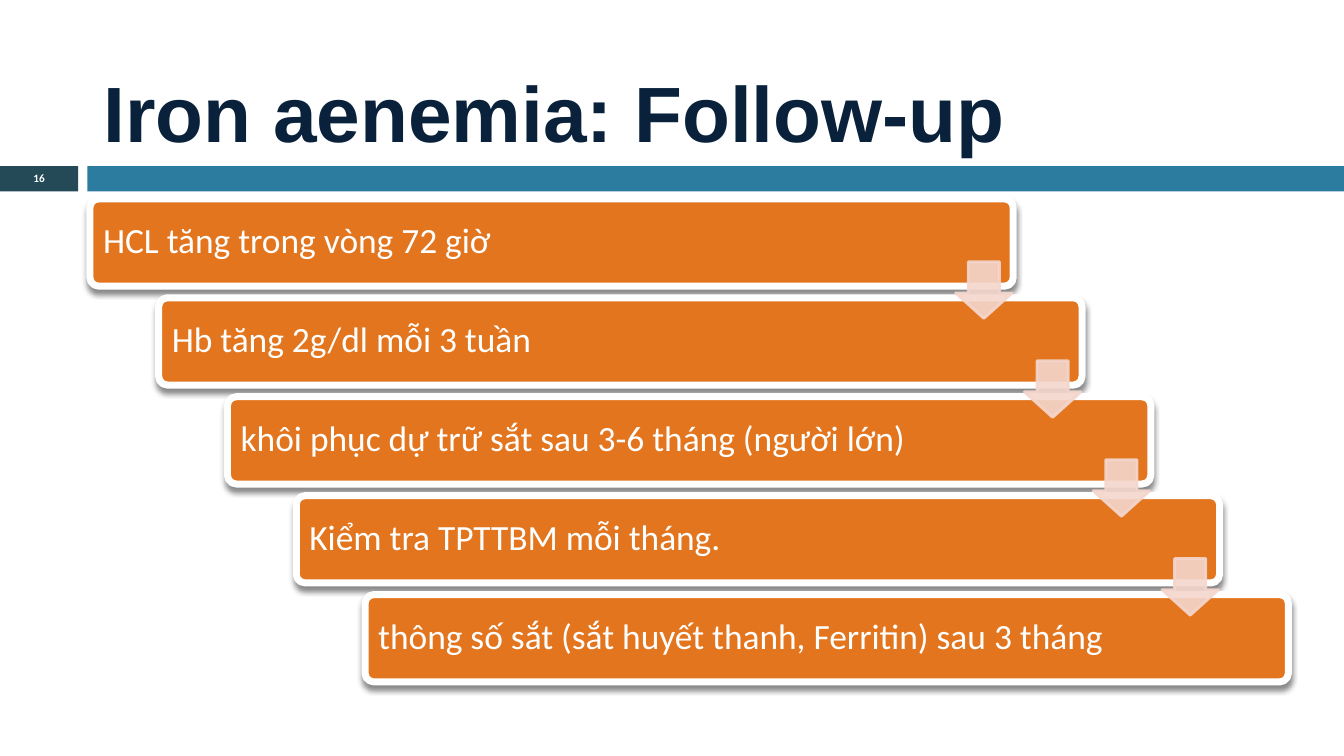
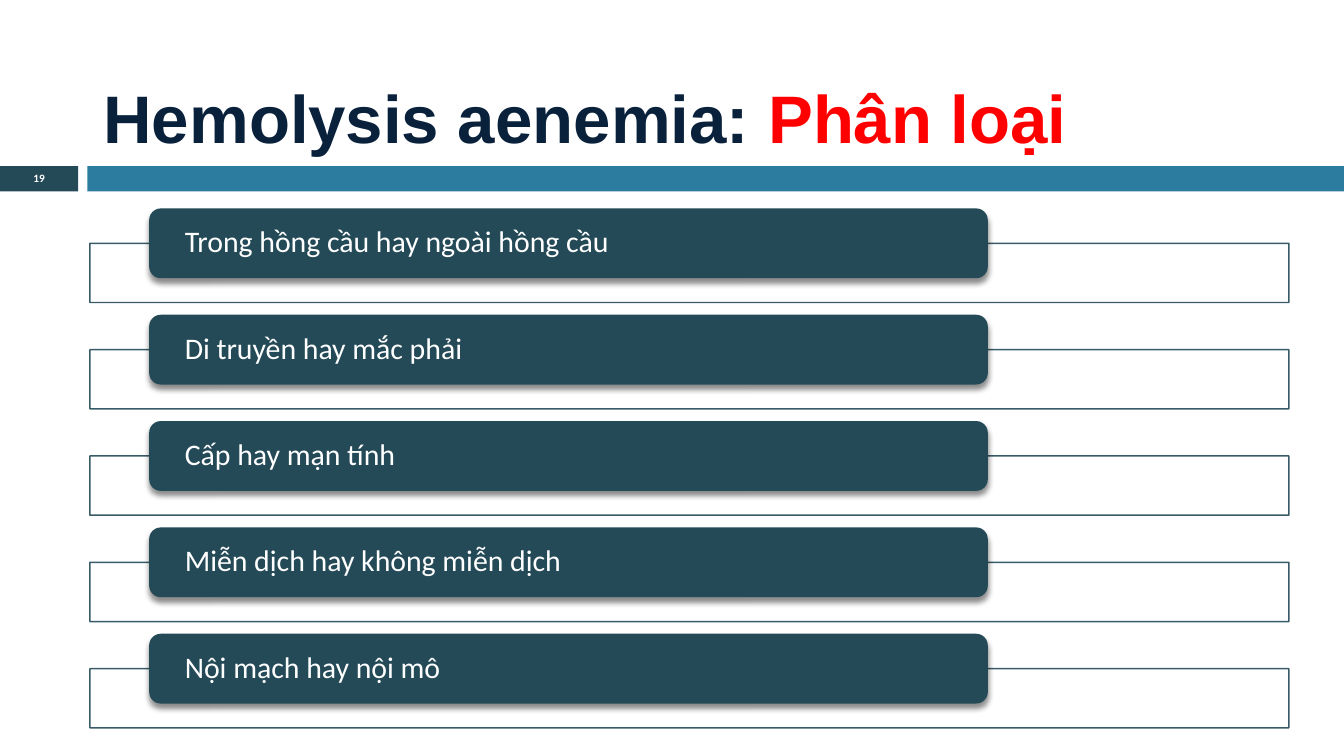
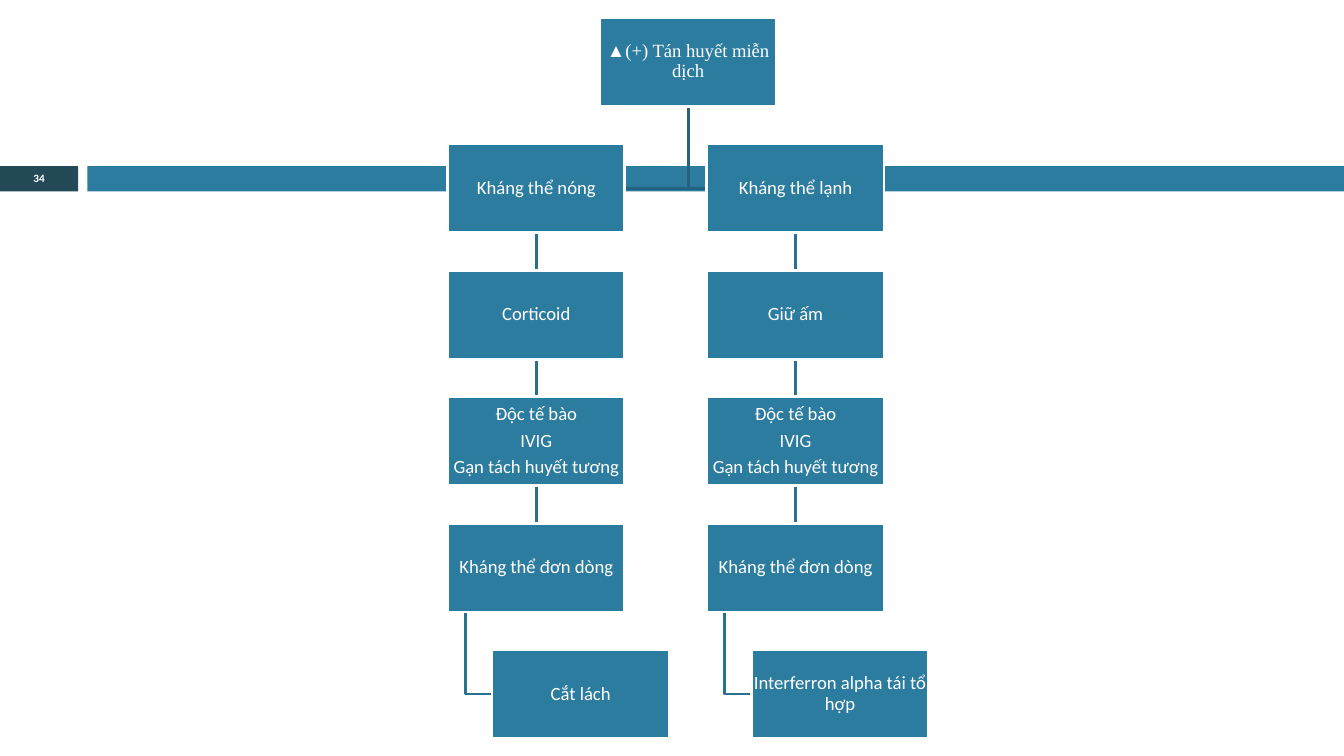
"""Build three slides on anaemia: follow-up steps, classification and a treatment tree."""
from pptx import Presentation
from pptx.dml.color import RGBColor as RGB
from pptx.enum.shapes import MSO_CONNECTOR, MSO_SHAPE as SHAPE
from pptx.enum.text import MSO_ANCHOR as ANCHOR, MSO_AUTO_SIZE as AUTO, PP_ALIGN as ALIGN
from pptx.oxml import parse_xml
from pptx.oxml.ns import nsdecls, qn
from pptx.util import Cm, Pt

COLORS = {
    "navy": "09213B", "red": "FF0000", "white": "FFFFFF", "slate": "244A58",
    "blue": "2C7C9F", "orange": "E2751D", "pink": "F4D6CD",
    "trunk": "23637F", "branch": "287190",
}
SHADOW = (
    f'<a:outerShdw {nsdecls("a")} blurRad="38100" dist="30480" dir="5400000" rotWithShape="0">'
    '<a:srgbClr val="000000"><a:alpha val="45000"/></a:srgbClr></a:outerShdw>'
)
ALPHA = f'<a:alpha {nsdecls("a")} val="90000"/>'


def add_box(s, kind, box, fill, line=None, width=0, alpha=False, shadow=False):
    sp = s.shapes.add_shape(kind, *[Cm(v) for v in box])
    sp.shadow.inherit = False
    sp.fill.solid()
    sp.fill.fore_color.rgb = RGB.from_string(COLORS[fill])
    if line:
        sp.line.color.rgb = RGB.from_string(COLORS[line])
        sp.line.width = Pt(width)
    else:
        sp.line.fill.background()
    spPr = sp._element.spPr
    if alpha:
        for clr in spPr.iter(qn("a:srgbClr")):
            clr.append(parse_xml(ALPHA))
    if shadow:
        spPr.find(qn("a:effectLst")).append(parse_xml(SHADOW))
    return sp


def write(sp, text, size, inset_x, inset_y, align=ALIGN.LEFT, font="Calibri", bold=False):
    tf = sp.text_frame
    tf.word_wrap = True
    tf.vertical_anchor = ANCHOR.MIDDLE
    tf.margin_left = tf.margin_right = Cm(inset_x)
    tf.margin_top = tf.margin_bottom = Cm(inset_y)
    tf.text = text
    for p in tf.paragraphs:
        p.alignment = align
        p.line_spacing = 0.9
        p.space_after = Pt(0.35 * size)
        for r in p.runs:
            r.font.name = font
            r.font.size = Pt(size)
            r.font.bold = bold
            r.font.color.rgb = RGB.from_string(COLORS["white"])


prs = Presentation()
prs.slide_width, prs.slide_height = Cm(25.4), Cm(14.29)

pages = [
    ("16", 42, 1.0, [("Iron aenemia: Follow-up", "navy")]),
    ("19", 36, 0.9, [("Hemolysis aenemia: ", "navy"), ("Phân loại", "red")]),
    ("34", None, None, []),
]
for number, size, spacing, title in pages:
    s = prs.slides.add_slide(prs.slide_layouts[5 if title else 6])
    sp = add_box(s, SHAPE.RECTANGLE, (0, 3.14, 1.48, 0.48), "slate")
    write(sp, number, 6, 0, 0, ALIGN.CENTER, bold=True)
    add_box(s, SHAPE.RECTANGLE, (1.65, 3.14, 23.75, 0.48), "blue")
    if title:
        sp = s.shapes.title
        sp.left, sp.top, sp.width, sp.height = Cm(1.7), Cm(0.33), Cm(22.66), Cm(2.79)
        tf = sp.text_frame
        tf.auto_size = AUTO.NONE
        tf.word_wrap = True
        tf.vertical_anchor = ANCHOR.BOTTOM
        p = tf.paragraphs[0]
        p.alignment = ALIGN.LEFT
        p.line_spacing = spacing
        for text, color in title:
            r = p.add_run()
            r.text = text
            r.font.name = "Arial"
            r.font.size = Pt(size)
            r.font.bold = True
            r.font.color.rgb = RGB.from_string(COLORS[color])

followup, classes, tree = prs.slides

steps = [
    "HCL tăng trong vòng 72 giờ",
    "Hb tăng 2g/dl mỗi 3 tuần",
    "khôi phục dự trữ sắt sau 3-6 tháng (người lớn)",
    "Kiểm tra TPTTBM mỗi tháng.",
    "thông số sắt (sắt huyết thanh, Ferritin) sau 3 tháng",
]
STEP_X, STEP_Y = 1.3, 1.87
for i, text in enumerate(steps):
    box = (1.7 + i * STEP_X, 3.76 + i * STEP_Y, 17.45, 1.65)
    sp = add_box(followup, SHAPE.ROUNDED_RECTANGLE, box, "orange", "white", 3.75, shadow=True)
    sp.adjustments[0] = 0.1
    write(sp, text, 19, 0.2, 0.2)
for i in range(len(steps) - 1):
    box = (18.06 + i * STEP_X, 4.95 + i * STEP_Y, 1.07, 1.07)
    sp = add_box(followup, SHAPE.DOWN_ARROW, box, "pink", "pink", 1.5, alpha=True)
    sp.adjustments[0], sp.adjustments[1] = 0.55, 0.45

kinds = [
    "Trong hồng cầu hay ngoài hồng cầu",
    "Di truyền hay mắc phải",
    "Cấp hay mạn tính",
    "Miễn dịch hay không miễn dịch",
    "Nội mạch hay nội mô",
]
for i, text in enumerate(kinds):
    y = i * 2.01
    add_box(classes, SHAPE.RECTANGLE, (1.7, 4.6 + y, 22.66, 1.12), "white", "slate", 0.79, alpha=True)
    box = (2.82, 3.94 + y, 15.85, 1.32)
    sp = add_box(classes, SHAPE.ROUNDED_RECTANGLE, box, "slate", shadow=True)
    write(sp, text, 16, 0.61, 0)

BOX_W, BOX_H, TOP, PITCH = 3.35, 1.68, 0.33, 2.39
LEFT_X, RIGHT_X, ROOT_X, INDENT = 8.46, 13.36, 11.33, 0.84
second_line = "Độc tế bào\nIVIG\nGạn tách huyết tương"
columns = [
    (LEFT_X, ["Kháng thể nóng", "Corticoid", second_line, "Kháng thể đơn dòng", "Cắt lách"]),
    (RIGHT_X, ["Kháng thể lạnh", "Giữ ấm", second_line, "Kháng thể đơn dòng",
               "Interferron alpha tái tổ hợp"]),
]

root_mid = ROOT_X + BOX_W / 2
elbows = [(root_mid, 0, LEFT_X + BOX_W, "trunk"), (root_mid, 0, RIGHT_X, "trunk")]
elbows += [(x + BOX_W / 10, 4, x + INDENT, "branch") for x, texts in columns]
for x, row, end_x, color in elbows:
    start_y = TOP + row * PITCH + BOX_H
    end_y = TOP + (row + 1) * PITCH + BOX_H / 2
    path_builder = tree.shapes.build_freeform(Cm(x), Cm(start_y))
    path_builder.add_line_segments([(Cm(x), Cm(end_y)), (Cm(end_x), Cm(end_y))], close=False)
    sp = path_builder.convert_to_shape()
    sp.shadow.inherit = False
    sp.fill.background()
    sp.line.color.rgb = RGB.from_string(COLORS[color])
    sp.line.width = Pt(1.5)

nodes = [(ROOT_X, 0, "▲(+) Tán huyết miễn dịch", "Times New Roman")]
for x, texts in columns:
    for row, text in enumerate(texts, 1):
        nodes.append((x + (INDENT if row == len(texts) else 0), row, text, "Calibri"))
above = None
for x, row, text, font in nodes:
    box = (x, TOP + row * PITCH, BOX_W, BOX_H)
    sp = add_box(tree, SHAPE.RECTANGLE, box, "blue", "white", 1.5)
    write(sp, text, 10, 0.03, 0.03, ALIGN.CENTER, font)
    if row in (2, 3, 4):
        link = tree.shapes.add_connector(MSO_CONNECTOR.STRAIGHT, 0, 0, 0, 0)
        link.begin_connect(above, 2)
        link.end_connect(sp, 0)
        link.line.color.rgb = RGB.from_string(COLORS["branch"])
        link.line.width = Pt(1.5)
        link._element.spPr.append(parse_xml(f'<a:effectLst {nsdecls("a")}/>'))
        tree.shapes._spTree.insert(4, link._element)
    above = sp

prs.save("out.pptx")
